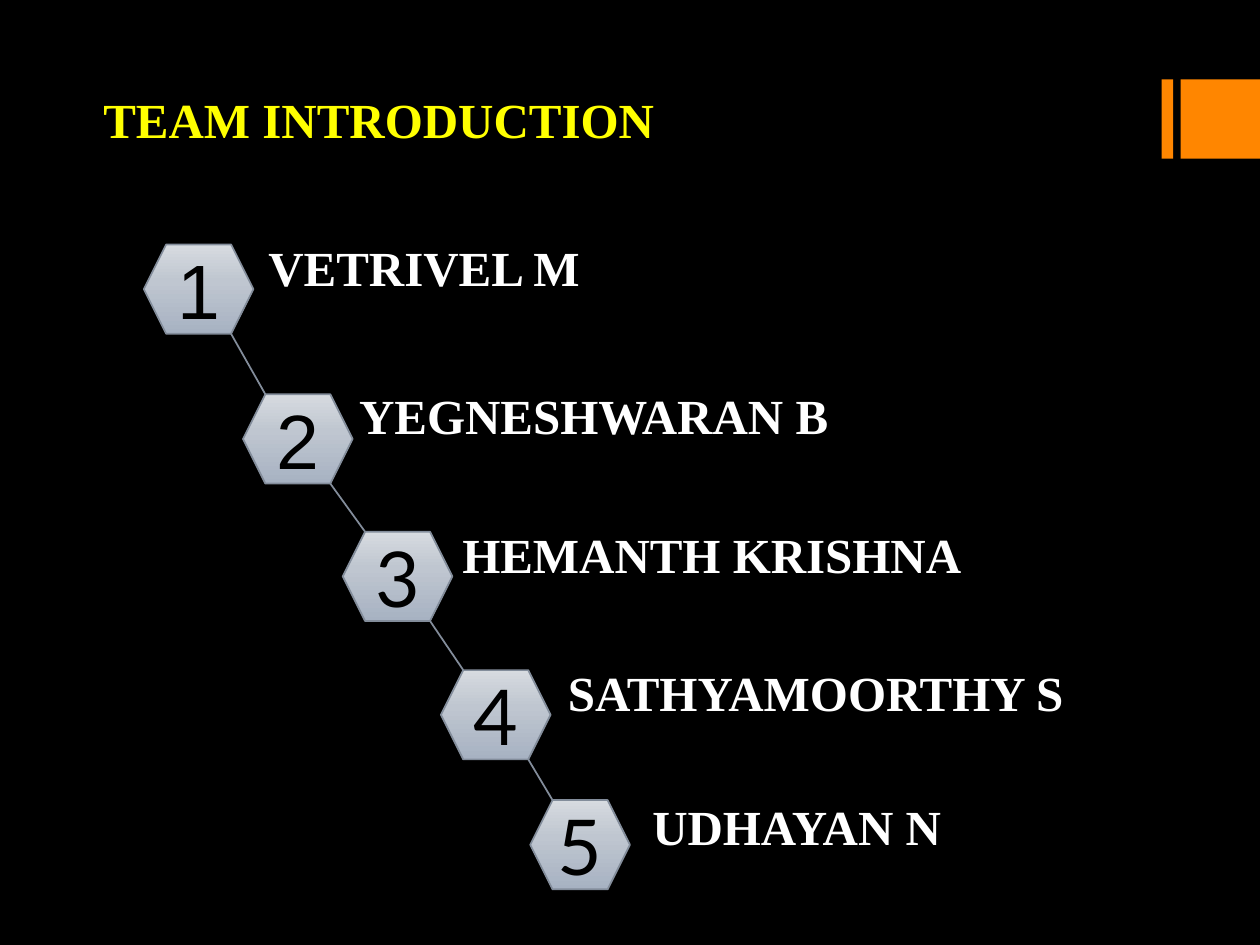
"""Build the team slide: a chain of numbered hexagons with names."""
from copy import deepcopy
from itertools import pairwise

from lxml.etree import SubElement
from pptx import Presentation
from pptx.dml.color import RGBColor
from pptx.enum.shapes import MSO_CONNECTOR, MSO_SHAPE
from pptx.enum.text import MSO_ANCHOR, PP_ALIGN
from pptx.oxml.ns import qn
from pptx.util import Cm, Pt

BLACK = RGBColor(0x00, 0x00, 0x00)
WHITE = RGBColor(0xFF, 0xFF, 0xFF)
YELLOW = RGBColor(0xFF, 0xFF, 0x00)
ORANGE = RGBColor(0xFF, 0x86, 0x00)
EDGE = RGBColor(0x83, 0x8D, 0x9B)
LIGHT = RGBColor(0xD7, 0xDB, 0xE0)
MID = RGBColor(0xBF, 0xC6, 0xD0)
DARK = RGBColor(0xA7, 0xB2, 0xC2)

HIGH = 1.8
SLANT = HIGH / 4
TEAM = [
    ("VETRIVEL M", "Arial", (2.9, 4.93, 2.21), (5.16, 4.65, 7.9)),
    ("YEGNESHWARAN B", "Arial", (4.9, 7.95, 2.21), (6.99, 7.65, 10.08)),
    ("HEMANTH KRISHNA", "Lato", (6.91, 10.72, 2.21), (9.07, 10.44, 10.67)),
    ("SATHYAMOORTHY S", "Lato", (8.89, 13.51, 2.21), (11.2, 13.23, 10.72)),
    ("UDHAYAN N", "Lato", (10.69, 16.13, 2.01), (12.9, 15.93, 6.4)),
]


class Deck:
    """Hold the style and the current slide."""

    head = {"name": "Times New Roman", "size": Pt(28), "bold": True}
    digit = {"size": Pt(44), "bold": False}

    def __init__(self, show):
        self.slide = show.slides.add_slide(show.slide_layouts[5])
        self.shapes = self.slide.shapes
        back = self.slide.background.fill
        back.solid()
        back.fore_color.rgb = BLACK

    def letter(self, shape, text, tone, align, style):
        frame = shape.text_frame
        frame.text = text
        frame.word_wrap = True
        frame.vertical_anchor = MSO_ANCHOR.MIDDLE
        line = frame.paragraphs[0]
        line.alignment = align
        font = line.runs[0].font
        for key, value in style.items():
            setattr(font, key, value)
        font.color.rgb = tone

    def title(self, text, left, top, width, height):
        shape = self.shapes.title
        place = {"left": left, "top": top, "width": width, "height": height}
        for key, value in place.items():
            setattr(shape, key, Cm(value))
        self.letter(shape, text, YELLOW, PP_ALIGN.LEFT, self.head)

    def label(self, text, left, top, width):
        box = self.shapes.add_textbox(Cm(left), Cm(top), Cm(width), Cm(1.45))
        self.letter(box, text, WHITE, PP_ALIGN.LEFT, self.head)

    def block(self, left, top, width, height):
        shape = self.shapes.add_shape(
            MSO_SHAPE.RECTANGLE, Cm(left), Cm(top), Cm(width), Cm(height))
        shape.shadow.inherit = False
        shape.fill.solid()
        shape.fill.fore_color.rgb = ORANGE
        shape.line.fill.background()

    def badge(self, text, face, left, top, width):
        shape = self.shapes.add_shape(
            MSO_SHAPE.HEXAGON, Cm(left), Cm(top), Cm(width), Cm(HIGH))
        shape.shadow.inherit = False
        self.shade(shape.fill)
        self.stroke(shape.line)
        self.letter(shape, text, BLACK, PP_ALIGN.CENTER,
                    {"name": face, **self.digit})
        shape.text_frame.word_wrap = False

    def shade(self, fill):
        fill.gradient()
        fill.gradient_angle = 270
        first = fill.gradient_stops[0]._gs
        first.addnext(deepcopy(first))
        tones = [(0, LIGHT), (0.41, MID), (1, DARK)]
        for stop, (point, tone) in zip(fill.gradient_stops, tones):
            stop.position = point
            stop.color.rgb = tone

    def stroke(self, line):
        line.color.rgb = EDGE
        line.width = Pt(1)

    def link(self, start, end):
        left, top, width = start
        line = self.shapes.add_connector(
            MSO_CONNECTOR.STRAIGHT,
            Cm(left + width - SLANT), Cm(top + HIGH),
            Cm(end[0] + SLANT), Cm(end[1]))
        self.stroke(line.line)
        SubElement(line._element.spPr, qn("a:effectLst"))


def main():
    show = Presentation()
    show.slide_width, show.slide_height = Cm(25.4), Cm(19.05)
    deck = Deck(show)
    deck.block(23.42, 1.6, 0.23, 1.6)
    deck.block(23.8, 1.6, 1.6, 1.6)
    deck.title("TEAM INTRODUCTION", 1.83, 1.68, 11.73, 1.45)
    for rank, (name, face, spot, place) in enumerate(TEAM, 1):
        deck.badge(str(rank), face, *spot)
        deck.label(name, *place)
    for start, end in pairwise(spot for _, _, spot, _ in TEAM):
        deck.link(start, end)
    show.save("out.pptx")


if __name__ == "__main__":
    main()
